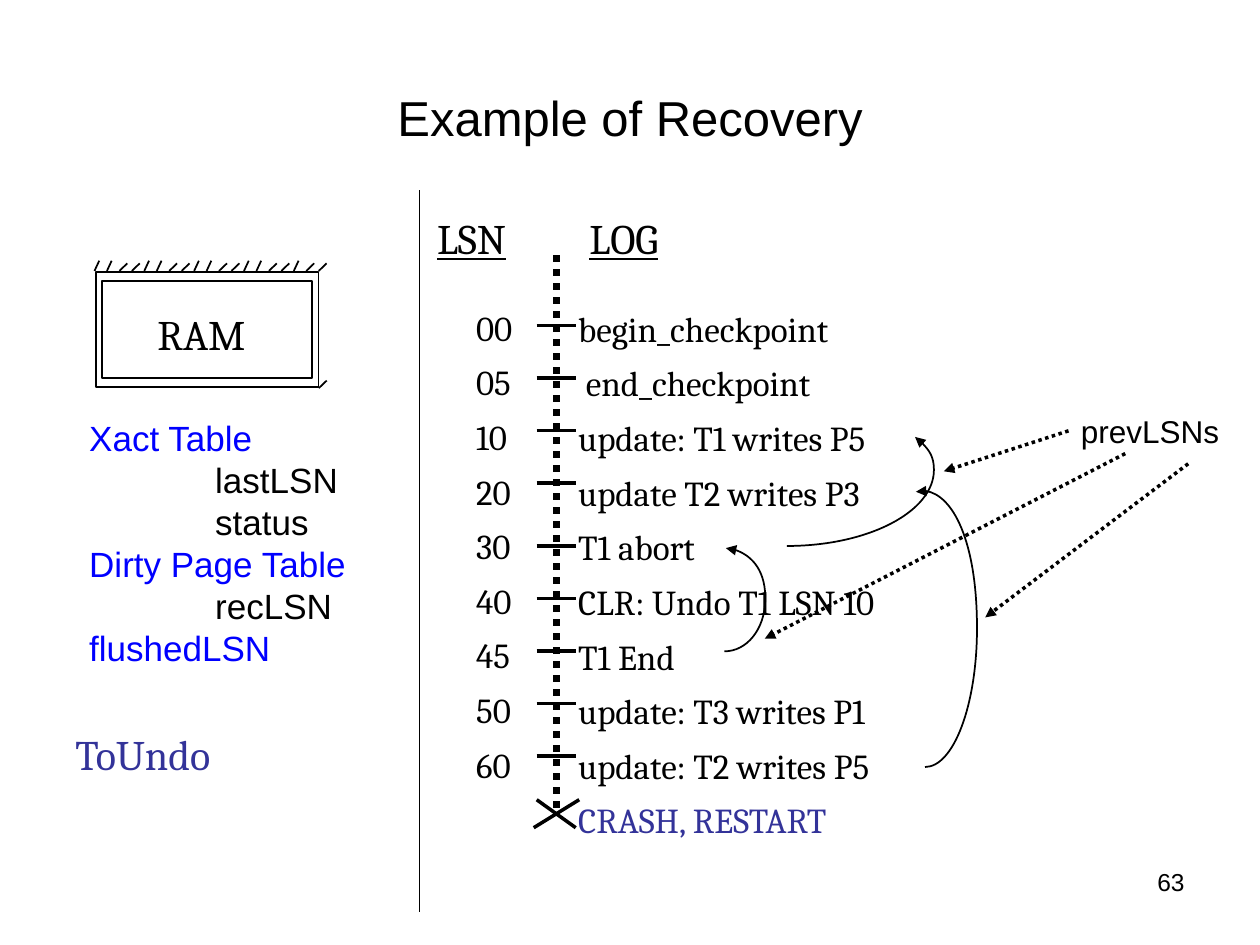
from lxml import etree
from pptx import Presentation
from pptx.dml.color import RGBColor
from pptx.enum.dml import MSO_LINE
from pptx.enum.shapes import MSO_CONNECTOR, MSO_SHAPE
from pptx.enum.text import MSO_ANCHOR, PP_ALIGN
from pptx.oxml.ns import qn
from pptx.util import Pt

STRAIGHT = MSO_CONNECTOR.STRAIGHT
RECTANGLE = MSO_SHAPE.RECTANGLE
DOTTED = MSO_LINE.ROUND_DOT
MIDDLE = MSO_ANCHOR.MIDDLE
LEFT, CENTER, RIGHT = PP_ALIGN.LEFT, PP_ALIGN.CENTER, PP_ALIGN.RIGHT
LEFT_SIDE = 1
TITLE_ONLY = 5

COLORS = {"black": "000000", "blue": "0000FF", "indigo": "333399"}
SANS, SERIF = "Arial", "Cambria"


class SlideBuilder:
    """Holds the style and the slide, and draws each kind of element."""

    def __init__(self, slide):
        self.slide = slide
        self.shapes = slide.shapes

    def color(self, name):
        return RGBColor.from_string(COLORS[name])

    def start_group(self):
        self.shapes = self.slide.shapes.add_group_shape().shapes

    def end_group(self):
        self.shapes = self.slide.shapes

    def fill_text(self, frame, lines, size, font, align=LEFT, spacing=None):
        """Each line is (text, colour, left indent)."""
        frame.word_wrap = True
        for index, (text, color, indent) in enumerate(lines):
            paragraph = frame.paragraphs[0] if index == 0 else frame.add_paragraph()
            paragraph.alignment = align
            if spacing:
                paragraph.line_spacing = spacing
            if indent:
                paragraph._p.get_or_add_pPr().set("marL", str(Pt(indent)))
            run = paragraph.add_run()
            run.text = text
            run.font.size = Pt(size)
            run.font.name = font
            run.font.color.rgb = self.color(color)

    def title(self, text, left, top, width, height):
        shape = self.slide.shapes.title
        shape.left, shape.top = Pt(left), Pt(top)
        shape.width, shape.height = Pt(width), Pt(height)
        shape.text_frame.vertical_anchor = MIDDLE
        self.fill_text(shape.text_frame, [(text, "black", 0)], 28, SANS, CENTER)

    def text(self, lines, left, top, width, height, size, font, **options):
        box = self.shapes.add_textbox(Pt(left), Pt(top), Pt(width), Pt(height))
        self.fill_text(box.text_frame, lines, size, font, **options)
        return box

    def stroke(self, shape, weight, dash=None, arrow=None):
        shape.line.color.rgb = self.color("black")
        shape.line.width = Pt(weight)
        if dash:
            shape.line.dash_style = dash
        if arrow:
            outline = shape.line._get_or_add_ln()
            etree.SubElement(outline, qn(f"a:{arrow}"), type="triangle")

    def line(self, x1, y1, x2, y2, weight=1, dash=None, arrow=None):
        connector = self.shapes.add_connector(STRAIGHT, Pt(x1), Pt(y1), Pt(x2), Pt(y2))
        self.stroke(connector, weight, dash, arrow)
        etree.SubElement(connector._element.spPr, qn("a:effectLst"))
        return connector

    def rectangle(self, left, top, width, height):
        shape = self.shapes.add_shape(RECTANGLE, Pt(left), Pt(top), Pt(width), Pt(height))
        shape.shadow.inherit = False
        shape.fill.background()
        self.stroke(shape, 1)

    def curve(self, start, *controls):
        """Draws Bezier segments, three points each, with an arrowhead at the start."""
        builder = self.shapes.build_freeform(Pt(start[0]), Pt(start[1]))
        builder.add_line_segments([(Pt(x), Pt(y)) for x, y in controls], close=False)
        shape = builder.convert_to_shape()
        shape.shadow.inherit = False
        shape.fill.background()
        self.stroke(shape, 1, arrow="headEnd")
        outline = shape._element.find(".//" + qn("a:path"))
        steps = outline.findall(qn("a:lnTo"))
        for index in range(0, len(steps), 3):
            bezier = etree.SubElement(outline, qn("a:cubicBezTo"))
            for step in steps[index:index + 3]:
                bezier.append(step[0])
                outline.remove(step)


def main():
    presentation = Presentation()
    presentation.slide_width, presentation.slide_height = Pt(720), Pt(540)
    slide = presentation.slides.add_slide(presentation.slide_layouts[TITLE_ONLY])
    builder = SlideBuilder(slide)
    builder.title("Example of Recovery", 36, 21.6, 648, 90)

    # Log entries, with their numbers beside them
    entries = [
        ("00", "begin_checkpoint"), ("05", " end_checkpoint"),
        ("10", "update: T1 writes P5"), ("20", "update T2 writes P3"),
        ("30", "T1 abort"), ("40", "CLR: Undo T1 LSN 10"), ("45", "T1 End"),
        ("50", "update: T3 writes P1"), ("60", "update: T2 writes P5"),
    ]
    records = [(record, "black", 0) for _, record in entries]
    records.append(("CRASH, RESTART", "indigo", 0))
    numbers = [(number, "black", 21.6) for number, _ in entries]
    builder.text(records, 323.3, 164.9, 214.6, 319, 20, SERIF, spacing=1.3)
    builder.text(numbers, 243.4, 164.2, 62.6, 288, 20, SERIF, spacing=1.3)

    # Log heading, underlined across the tab
    heading = builder.text([("LSN\tLOG", "black", 0)], 242.8, 118, 166, 36, 24, SERIF)
    paragraph = heading.text_frame.paragraphs[0]
    tabs = etree.SubElement(paragraph._p.get_or_add_pPr(), qn("a:tabLst"))
    etree.SubElement(tabs, qn("a:tab"), pos=str(Pt(87)), algn="l")
    paragraph.runs[0].font.underline = True

    # Time line with ticks, ending in the crash cross
    builder.line(318.2, 146, 318.2, 466, 4, DOTTED)
    for first, count in ((186, 4), (312, 5)):
        for index in range(count):
            y = first + 30 * index
            builder.line(306.7, y, 329, y, 2)
    builder.start_group()
    builder.line(306.7, 457, 329, 473, 2)
    builder.line(331, 457, 305, 473, 2)
    builder.end_group()

    # Divider and the tables kept in memory
    builder.line(239.8, 108.7, 239.8, 521.3)
    tables = [
        ("Xact Table", "blue", 0), ("lastLSN", "black", 72),
        ("status", "black", 72), ("Dirty Page Table", "blue", 0),
        ("recLSN", "black", 72), ("flushedLSN", "blue", 0),
    ]
    builder.text(tables, 43.9, 234.7, 166, 175, 20, SANS)
    builder.text([("ToUndo", "indigo", 0)], 36, 412.6, 104.4, 36, 24, SERIF)

    # Memory chip: two frames with steep (S) and low (L) hatch marks
    builder.start_group()
    builder.text([("RAM", "black", 0)], 82.8, 172.8, 69, 36, 24, SERIF)
    builder.rectangle(54.7, 155.5, 127.4, 65.5)
    builder.rectangle(58.3, 160.6, 120.2, 55.4)
    slopes = {"S": (2.7, 5.8), "L": (4.5, 4.3)}
    for index, kind in enumerate("SSLL" * 4 + "SLL"):
        x = 54 + 7.12 * index
        run, rise = slopes[kind]
        builder.line(x, 154.8, x + run, 154.8 - rise)
    builder.line(182.2, 221.8, 186.7, 217.5)
    builder.end_group()

    # Links back to each transaction's previous entry
    builder.curve((414.8, 313.2), (427.7, 313.9), (437.8, 326.9), (437.3, 343.2),
                  (437, 359.3), (427, 372.2), (414, 372.2))
    builder.curve((522.9, 249.7), (529, 254), (533.7, 261), (533.7, 268.5),
                  (533.7, 292.5), (496, 312), (449.7, 312))
    builder.curve((523.4, 281), (541, 275.5), (558.3, 309), (558.3, 359),
                  (558.3, 402.8), (545, 438.3), (528.6, 438.3))

    # Label with arrows to the three links
    label = builder.text([("prevLSNs", "black", 0)], 610.6, 231.8, 104, 28.8, 18, SANS)
    pointer = builder.line(610.6, 246.2, 539.3, 269.3, 2, DOTTED, "tailEnd")
    pointer.begin_connect(label, LEFT_SIDE)
    builder.line(643, 259.2, 437, 365, 2, DOTTED, "tailEnd")
    builder.line(679, 265, 563, 352.8, 2, DOTTED, "tailEnd")

    # Slide number
    builder.text([("63", "black", 0)], 516.2, 491.8, 167.8, 37.4, 14, SANS, align=RIGHT)

    presentation.save("out.pptx")


if __name__ == "__main__":
    main()
